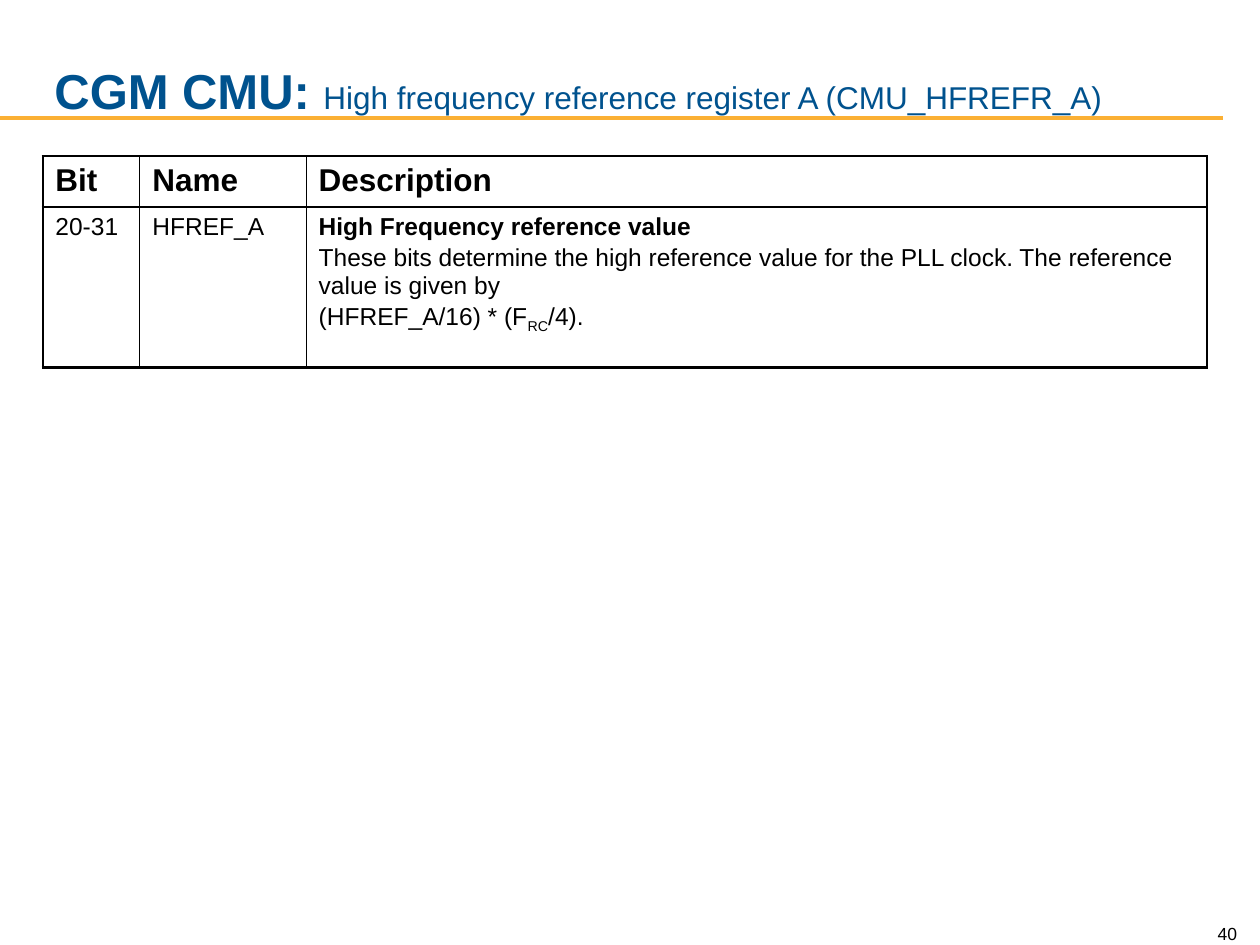
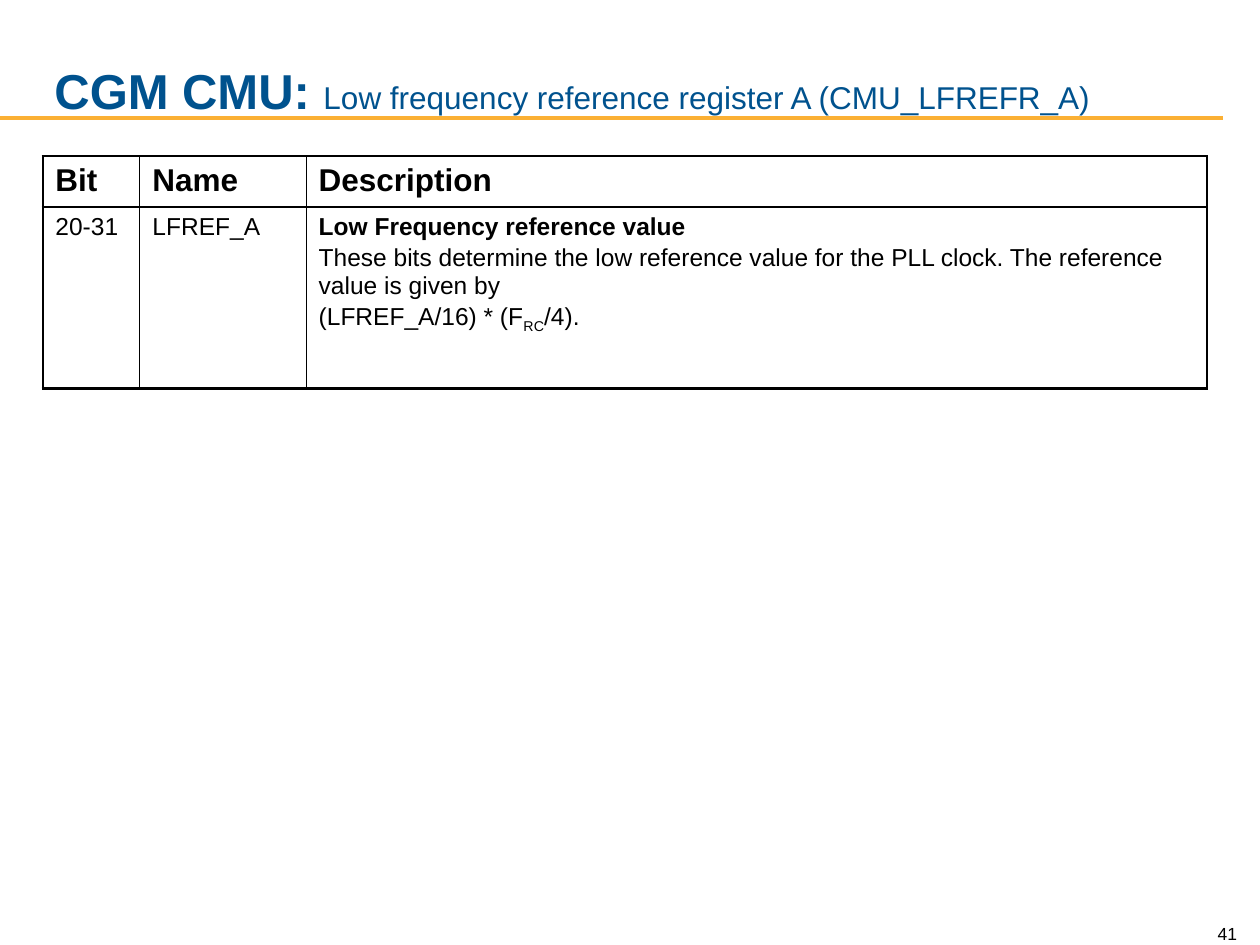
"""Build two register description slides for the CGM clock monitor unit."""
from dataclasses import dataclass

from lxml.etree import SubElement
from pptx import Presentation
from pptx.dml.color import RGBColor as Color
from pptx.enum.shapes import MSO_CONNECTOR as Connector
from pptx.enum.text import MSO_ANCHOR as Anchor, PP_ALIGN as Align
from pptx.oxml import parse_xml
from pptx.oxml.ns import nsdecls, qn
from pptx.util import Pt


@dataclass(frozen=True)
class Theme:
    font: str = "Arial"
    black: str = "000000"
    blue: str = "00528E"
    amber: str = "FBB034"
    title: int = 28
    heading: int = 18
    body: int = 14
    number: int = 10
    thick: float = 1.5
    thin: float = 0.5
    rule: float = 2.25
    gap: float = 2.25


theme = Theme()


def write(para, text, size=theme.body, color=theme.black, bold=False, baseline=0):
    span = para.add_run()
    span.text = text
    span.font.name = theme.font
    span.font.size = Pt(size)
    span.font.bold = bold
    span.font.color.rgb = Color.from_string(color)
    if baseline:
        span._r.get_or_add_rPr().set("baseline", str(baseline * 1000))


def outline(cell, left, right):
    cell.fill.background()
    widths = {"L": left, "R": right, "T": theme.thick, "B": theme.thick}
    for index, (side, width) in enumerate(widths.items()):
        border = parse_xml(
            f'<a:ln{side} {nsdecls("a")} w="{Pt(width)}"><a:solidFill>'
            f'<a:srgbClr val="{theme.black}"/></a:solidFill></a:ln{side}>'
        )
        cell._tc.get_or_add_tcPr().insert(index, border)


column_widths = [55.44, 95.04, 514.8]
headings = ["Bit", "Name", "Description"]
edges = [theme.thick, theme.thin, theme.thin, theme.thick]
registers = [("High", 40, 92), ("Low", 41, 104)]

deck = Presentation()
deck.slide_width, deck.slide_height = Pt(720), Pt(540)

for level, number, row_height in registers:
    page = deck.slides.add_slide(deck.slide_layouts[6])
    field = f"{level[0]}FREF_A"

    rule = page.shapes.add_connector(Connector.STRAIGHT, Pt(0), Pt(67.5), Pt(699), Pt(67.5))
    rule.line.color.rgb = Color.from_string(theme.amber)
    rule.line.width = Pt(theme.rule)
    SubElement(rule._element.spPr, qn("a:effectLst"))

    number_box = page.shapes.add_textbox(Pt(678), Pt(518), Pt(36), Pt(22)).text_frame
    number_box.word_wrap = True
    number_box.vertical_anchor = Anchor.BOTTOM
    number_box.margin_bottom = Pt(0.75)
    number_box.paragraphs[0].alignment = Align.RIGHT
    write(number_box.paragraphs[0], str(number), size=theme.number)

    title_box = page.shapes.add_textbox(Pt(24), Pt(24), Pt(672), Pt(48)).text_frame
    title_box.word_wrap = True
    title_box.vertical_anchor = Anchor.BOTTOM
    title = title_box.paragraphs[0]
    write(title, "CGM CMU: ", size=theme.title, color=theme.blue, bold=True)
    write(title, f"{level} frequency reference register A (CMU_{level[0]}FREFR_A)",
          size=theme.heading, color=theme.blue)

    frame = page.shapes.add_table(
        2, 3, Pt(24.5), Pt(89.25), Pt(sum(column_widths)), Pt(27.5 + row_height))
    table = frame.table
    table.first_row = table.horz_banding = False
    table.rows[0].height, table.rows[1].height = Pt(27.5), Pt(row_height)
    for index, width in enumerate(column_widths):
        table.columns[index].width = Pt(width)
        for row in range(2):
            outline(table.cell(row, index), edges[index], edges[index + 1])
        write(table.cell(0, index).text_frame.paragraphs[0], headings[index],
              size=theme.heading, bold=True)

    for index, text in enumerate(["20-31", field]):
        write(table.cell(1, index).text_frame.paragraphs[0], text)

    description = table.cell(1, 2).text_frame
    write(description.paragraphs[0], f"{level} Frequency reference value", bold=True)
    purpose, formula = description.add_paragraph(), description.add_paragraph()
    purpose.space_before = formula.space_before = Pt(theme.gap)
    write(purpose, f"These bits determine the {level.lower()} reference value for the PLL clock. "
                   "The reference value is given by")
    write(formula, f"({field}/16) * (F")
    write(formula, "RC", baseline=-25)
    write(formula, "/4).")

deck.save("out.pptx")
